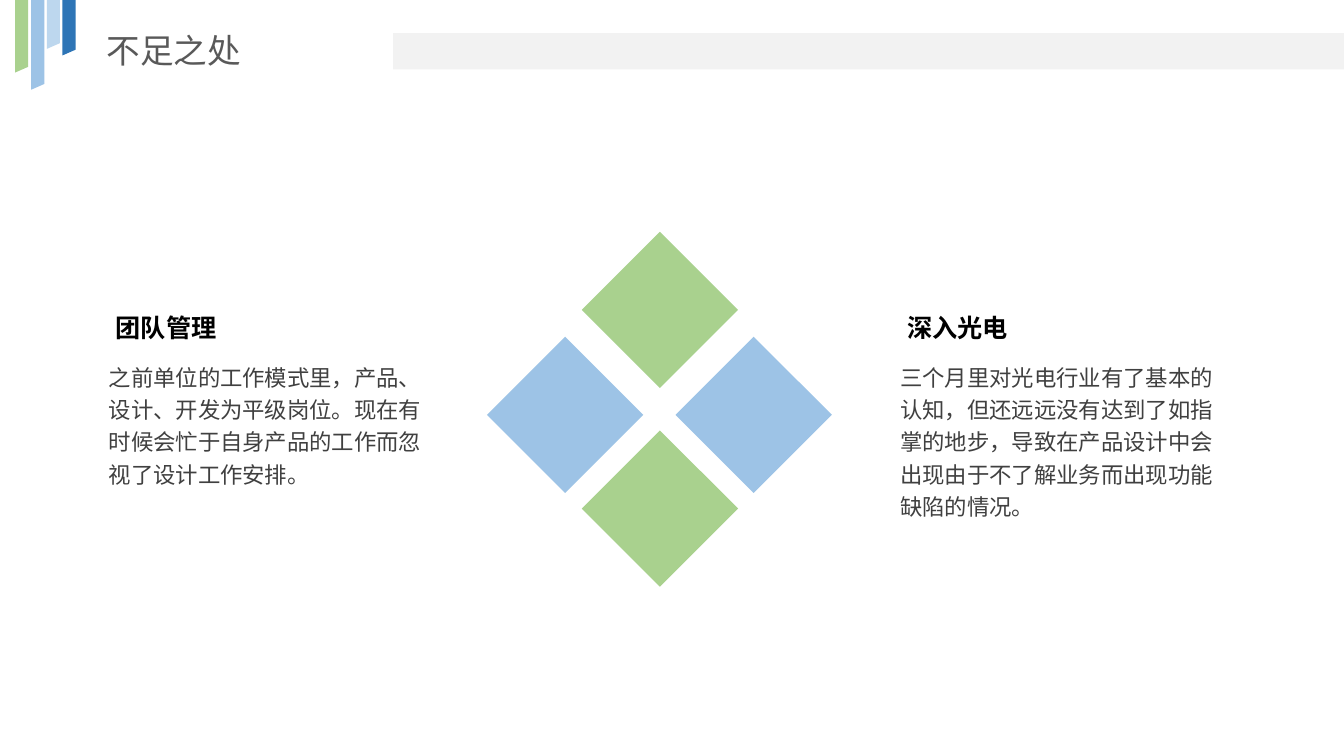
from lxml import etree
from pptx import Presentation
from pptx.dml.color import RGBColor
from pptx.enum.shapes import MSO_SHAPE
from pptx.enum.text import MSO_AUTO_SIZE, PP_ALIGN
from pptx.oxml.ns import qn
from pptx.util import Inches, Pt

RECTANGLE = MSO_SHAPE.RECTANGLE
PARALLELOGRAM = MSO_SHAPE.PARALLELOGRAM
DIAMOND = MSO_SHAPE.DIAMOND
GROW = MSO_AUTO_SIZE.SHAPE_TO_FIT_TEXT
LEFT, JUSTIFY = PP_ALIGN.LEFT, PP_ALIGN.JUSTIFY
FONT = "Noto Sans CJK SC"
GREEN, BLUE = "A9D18E", "9DC3E6"

prs = Presentation()
prs.slide_width, prs.slide_height = Inches(13.33), Inches(7.5)
slide = prs.slides.add_slide(prs.slide_layouts[6])


def add_block(kind, left, top, width, height, color):
    block = slide.shapes.add_shape(
        kind, Inches(left), Inches(top), Inches(width), Inches(height))
    block.shadow.inherit = False
    block.fill.solid()
    block.fill.fore_color.rgb = RGBColor.from_string(color)
    block.line.fill.background()
    return block


def add_text(text, left, top, width, height, size, color, align, bold=False, spacing=1.0):
    box = slide.shapes.add_textbox(
        Inches(left), Inches(top), Inches(width), Inches(height))
    frame = box.text_frame
    frame.word_wrap = True
    frame.auto_size = GROW
    frame.text = text
    paragraph = frame.paragraphs[0]
    paragraph.alignment = align
    paragraph.line_spacing = spacing
    font = paragraph.runs[0].font
    font.size, font.bold, font.name = Pt(size), bold, FONT
    font.color.rgb = RGBColor.from_string(color)
    east_asian = etree.SubElement(paragraph.runs[0]._r.get_or_add_rPr(), qn("a:ea"))
    east_asian.set("typeface", FONT)


add_block(RECTANGLE, 3.9, 0.33, 9.43, 0.36, "F2F2F2")

stripes = [(-0.39, 0.05, 1.21, GREEN), (-0.23, 0.22, 1.21, BLUE),
           (0.08, -0.03, 0.9, "BDD7EE"), (0.19, -0.01, 0.99, "2E75B6")]
for left, top, length, color in stripes:
    stripe = add_block(PARALLELOGRAM, left, top, length, 0.13, color)
    stripe.adjustments[0] = 0.442
    stripe.rotation = 90
    stripe._element.spPr.xfrm.set("flipH", "1")

add_text("不足之处", 0.96, 0.25, 2.46, 0.5, 24, "595959", JUSTIFY)

diamonds = [(4.83, 3.34, BLUE), (5.77, 2.3, GREEN), (5.77, 4.27, GREEN), (6.7, 3.34, BLUE)]
for left, top, color in diamonds:
    add_block(DIAMOND, left, top, 1.55, 1.55, color)

shortcomings = [
    (0.98, 1.39, "团队管理",
     "之前单位的工作模式里，产品、设计、开发为平级岗位。现在有时候会忙于自身产品的工作而忽视了设计工作安排。"),
    (8.83, 1.72, "深入光电",
     "三个月里对光电行业有了基本的认知，但还远远没有达到了如指掌的地步，导致在产品设计中会出现由于不了解业务而出现功能缺陷的情况。"),
]
for left, height, heading, detail in shortcomings:
    add_text(heading, left + 0.07, 3.05, 1.79, 0.4, 18, "000000", JUSTIFY, bold=True)
    add_text(detail, left, 3.51, 3.41, height, 16, "404040", LEFT, spacing=1.2)

prs.save("out.pptx")
